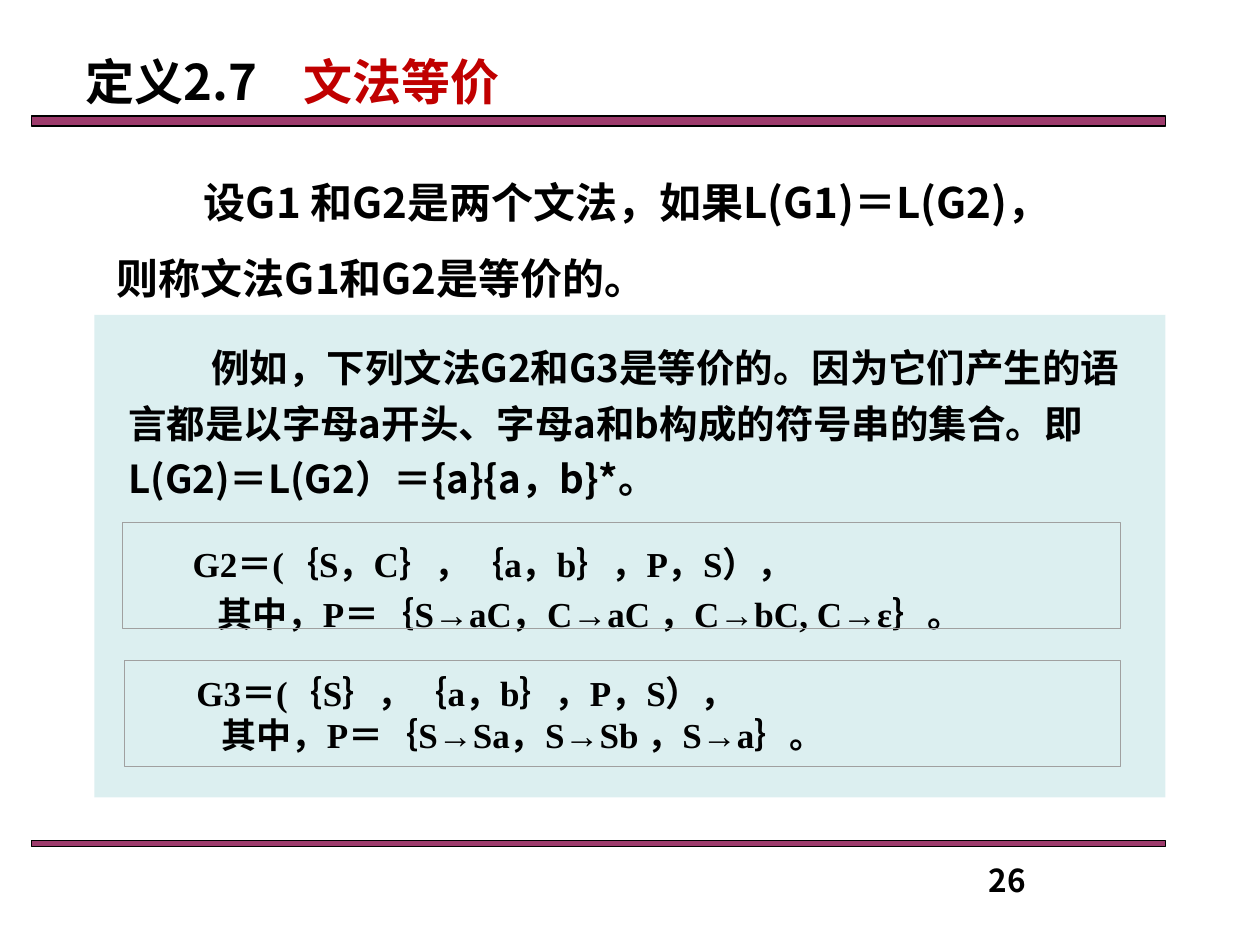
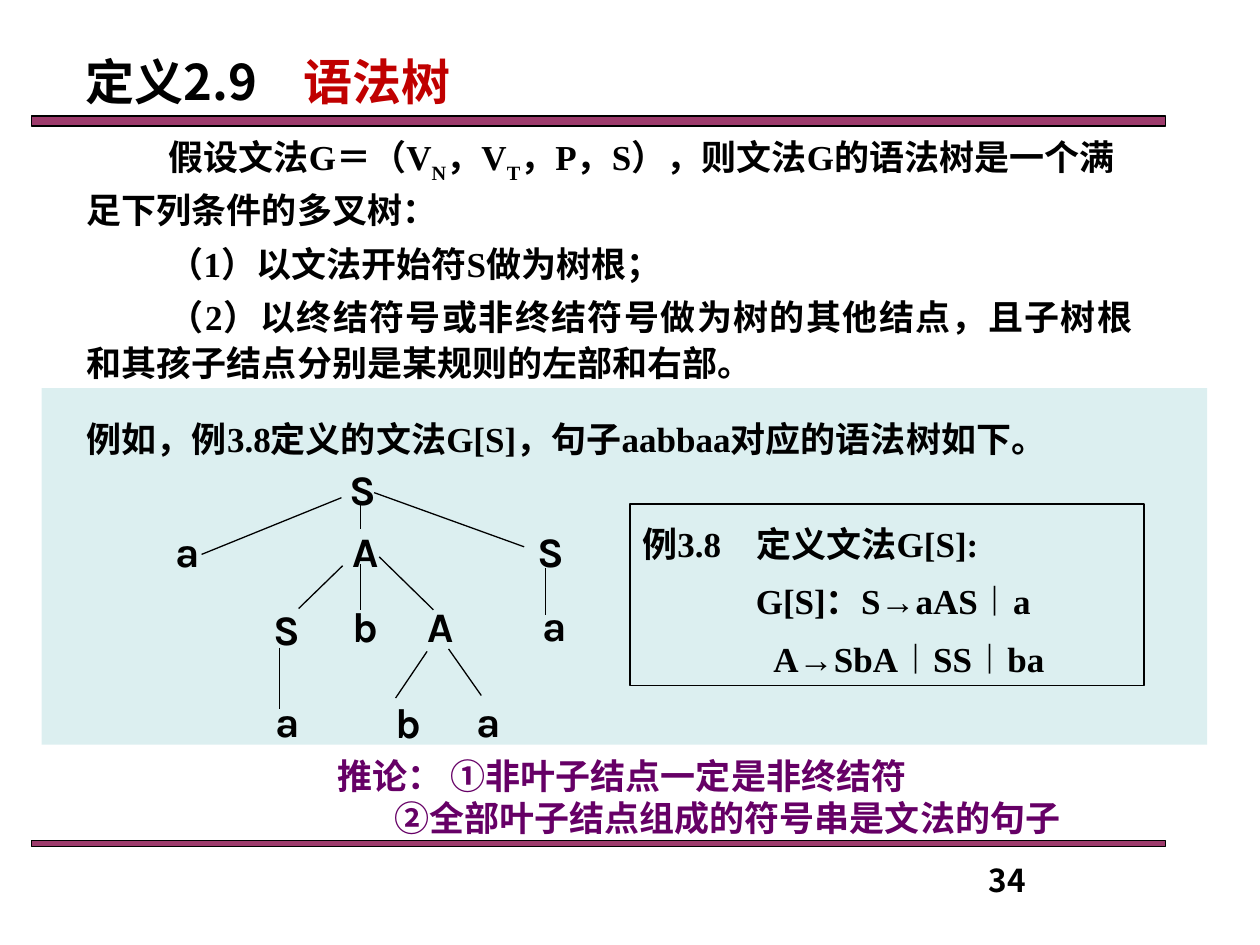
import pptx
import pptx.util
import pptx.dml.color
import pptx.enum.shapes
import pptx.enum.text
import pptx.oxml
import pptx.oxml.ns
from pptx.util import Inches

COLORS = {"text": "000000", "accent": "C00000", "band": "993366", "panel": "BBE0E3",
          "frame": "A0A0A0", "corollary": "660066"}
SANS, SERIF, TREE_FONT = "Noto Sans CJK SC", "Times New Roman", "Karla"
LINE_HEIGHT = 1.2  # line pitch of single spacing, in font sizes
BANDS = [(0.25, 0.92, 9, 0.08), (0.25, 6.67, 9, 0.05)]
NUMBER_BOX = (7.75, 6.75, 2.33, 0.42)
TITLE_TAB = 1.73

# Content: a paragraph is (text, first-line indent, justified)
EQUIVALENCE = {
    "title": ("定义2.7", "文法等价"), "title_width": 3.9, "number": "26",
    "panel": (0.75, 2.5, 8.5, 3.83),
    "definition": "设G1 和G2是两个文法，如果L(G1)＝L(G2)，则称文法G1和G2是等价的。",
    "example": "例如，下列文法G2和G3是等价的。因为它们产生的语言都是以字母a开头、字母a和b构成的"
               "符号串的集合。即L(G2)＝L(G2）＝{a}{a，b}*。",
    # frame, text left, line spacing, paragraphs
    "grammars": [
        ((0.97, 4.15, 7.92, 0.84), 1.14, 1.2,
         [("G2＝(｛S，C｝，｛a，b｝，P，S），", 0.29, True),
          ("其中，P＝｛S→aC，C→aC ，C→bC, C→ε｝。", 0.49, True)]),
        ((0.99, 5.24, 7.9, 0.84), 1.17, 1,
         [("G3＝(｛S｝，｛a，b｝，P，S），", 0.29, True),
          ("其中，P＝｛S→Sa，S→Sb ，S→a｝。", 0.49, True)]),
    ],
}
SYNTAX_TREE = {
    "title": ("定义2.9", "语法树"), "title_width": 3.58, "number": "34",
    "panel": (0.33, 3.08, 9.25, 2.83),
    # A list of runs: a leading underscore marks a subscript
    "definition": [
        (["假设文法G＝（V", "_N", "，V", "_T", "，P，S），则文法G的语法树是一个满足下列条件的多叉树："],
         0.65, False),
        ("（1）以文法开始符S做为树根；", 0.65, False),
        ("（2）以终结符号或非终结符号做为树的其他结点，且子树根和其孩子结点分别是某规则的左部和右部。",
         0.65, True),
    ],
    "example": "例如，例3.8定义的文法G[S]，句子aabbaa对应的语法树如下。",
    "grammar": [("例3.8　定义文法G[S]:", 0, False),
                ("G[S]：S→aAS︱a", 0.9, True),
                ("A→SbA︱SS︱ba", 1.04, True)],
    "corollary": [("推论： ①非叶子结点一定是非终结符", 0, False),
                  ("②全部叶子结点组成的符号串是文法的句子", 0.45, False)],
    # label, left, top
    "nodes": [("S", 2.54, 3.63),
              ("a", 1.15, 4.12), ("A", 2.56, 4.12), ("S", 4.03, 4.12),
              ("S", 1.94, 4.74), ("b", 2.56, 4.72), ("A", 3.16, 4.72), ("a", 4.06, 4.71),
              ("a", 1.94, 5.47), ("b", 2.9, 5.48), ("a", 3.54, 5.47)],
    "branches": [(2.86, 4.01, 2.86, 4.2), (2.71, 3.95, 1.6, 4.4), (2.97, 3.91, 4.16, 4.34),
                 (2.72, 4.49, 2.37, 4.83), (2.86, 4.48, 2.86, 4.84), (3.01, 4.42, 3.44, 4.84),
                 (4.33, 4.51, 4.33, 4.88), (2.22, 5.14, 2.22, 5.63),
                 (3.39, 5.17, 3.14, 5.54), (3.56, 5.15, 3.82, 5.52)],
}
NODE_SIZE = (0.68, 0.56)


def rgb(name):
    return pptx.dml.color.RGBColor.from_string(COLORS[name])


def sub_element(parent, tag, **attributes):
    element = parent.makeelement(pptx.oxml.ns.qn(tag), attributes)
    parent.append(element)
    return element


def style_paragraph(paragraph, font, size, color="text"):
    paragraph.font.size = pptx.util.Pt(size)
    paragraph.font.bold = True
    paragraph.font.color.rgb = rgb(color)
    paragraph.font.name = font
    defaults = paragraph._p.get_or_add_pPr().get_or_add_defRPr()
    sub_element(defaults, "a:ea", typeface=SANS)
    return defaults


def prepare_frame(frame):
    frame.word_wrap = True
    frame.auto_size = pptx.enum.text.MSO_AUTO_SIZE.NONE
    frame.vertical_anchor = pptx.enum.text.MSO_ANCHOR.TOP
    frame.margin_left = frame.margin_right = Inches(0.1)
    frame.margin_top, frame.margin_bottom = Inches(0.08), Inches(0.02)


def fill_text(frame, paragraphs, font, size, color="text", spacing=1, gap=0):
    prepare_frame(frame)
    for index, (content, indent, justified) in enumerate(paragraphs):
        paragraph = frame.paragraphs[0] if index == 0 else frame.add_paragraph()
        for part in [content] if isinstance(content, str) else content:
            run = paragraph.add_run()
            run.text = part.lstrip("_")
            if part.startswith("_"):
                run._r.get_or_add_rPr().set("baseline", "-30000")
        alignment = pptx.enum.text.PP_ALIGN
        paragraph.alignment = alignment.JUSTIFY if justified else alignment.LEFT
        paragraph.line_spacing = pptx.util.Pt(round(size * LINE_HEIGHT * spacing, 1))
        paragraph.space_before = pptx.util.Pt(gap if index else 0)
        paragraph._p.get_or_add_pPr().set("indent", str(Inches(indent)))
        style_paragraph(paragraph, font, size, color)


def add_text(slide, box, paragraphs, font, size, **options):
    shape = slide.shapes.add_textbox(*map(Inches, box))
    if isinstance(paragraphs, str):
        paragraphs = [(paragraphs, 0, False)]
    fill_text(shape.text_frame, paragraphs, font, size, **options)


def add_box(slide, box, fill=None, opacity=100, line=None, width=0.75):
    shape = slide.shapes.add_shape(pptx.enum.shapes.MSO_SHAPE.RECTANGLE, *map(Inches, box))
    shape.shadow.inherit = False
    if fill:
        shape.fill.solid()
        shape.fill.fore_color.rgb = rgb(fill)
        color = shape._element.spPr.find(".//" + pptx.oxml.ns.qn("a:srgbClr"))
        sub_element(color, "a:alpha", val=str(opacity * 1000))
    else:
        shape.fill.background()
    if line:
        shape.line.color.rgb = rgb(line)
        shape.line.width = pptx.util.Pt(width)
    else:
        shape.line.fill.background()
    return shape


def add_line(slide, ends):
    line = slide.shapes.add_connector(pptx.enum.shapes.MSO_CONNECTOR.STRAIGHT, *map(Inches, ends))
    line.line.color.rgb = rgb("text")
    line.line.width = pptx.util.Pt(0.75)
    sub_element(line._element.spPr, "a:effectLst")


def add_title(slide, parts, width):
    title = slide.shapes.title
    title.left, title.top, title.width, title.height = map(Inches, (0.58, 0.33, width, 0.57))
    prepare_frame(title.text_frame)
    paragraph = title.text_frame.paragraphs[0]
    paragraph.alignment = pptx.enum.text.PP_ALIGN.LEFT
    paragraph.line_spacing = pptx.util.Pt(28 * LINE_HEIGHT)
    term, name = parts
    paragraph.add_run().text = term + "\t"
    name_run = paragraph.add_run()
    name_run.text = name
    name_run.font.color.rgb = rgb("accent")
    defaults = style_paragraph(paragraph, SANS, 28)
    # Tab stop that sets the name apart from the number
    tabs = sub_element(paragraph._p.pPr, "a:tabLst")
    sub_element(tabs, "a:tab", pos=str(Inches(TITLE_TAB)), algn="l")
    defaults.addprevious(tabs)


def start_slide(presentation, content):
    slide = presentation.slides.add_slide(presentation.slide_layouts[5])
    for band in BANDS:
        add_box(slide, band, "band", 96, "text")
    add_box(slide, content["panel"], "panel", 50)
    add_title(slide, content["title"], content["title_width"])
    add_text(slide, NUMBER_BOX, content["number"], SANS, 18)
    return slide


presentation = pptx.Presentation()
presentation.slide_width, presentation.slide_height = Inches(10), Inches(7.5)

# Equivalent grammars
content = EQUIVALENCE
slide = start_slide(presentation, content)
add_text(slide, (0.83, 1.12, 7.83, 1.22), [(content["definition"], 0.69, False)], SANS, 24, spacing=1.5)
add_text(slide, (0.92, 2.58, 8.18, 1.43), [(content["example"], 0.66, False)], SANS, 22, spacing=1.2)
for frame, left, spacing, paragraphs in content["grammars"]:
    add_text(slide, (left, frame[1] + 0.01, 7.56, 0.83), paragraphs, SERIF, 20, spacing=spacing)
    add_box(slide, frame, line="frame", width=0.5)

# Syntax tree
content = SYNTAX_TREE
slide = start_slide(presentation, content)
add_text(slide, (0.59, 1.02, 8.5, 2.06), content["definition"], SERIF, 20, spacing=1.1, gap=4)
add_text(slide, (0.59, 3.23, 8.08, 0.43), content["example"], SERIF, 20)
for label, left, top in content["nodes"]:
    node = slide.shapes.add_textbox(*map(Inches, (left, top, *NODE_SIZE)))
    node.text_frame.word_wrap = True
    paragraph = node.text_frame.paragraphs[0]
    paragraph.text = label
    paragraph.alignment = pptx.enum.text.PP_ALIGN.CENTER
    style_paragraph(paragraph, TREE_FONT, 24)
for ends in content["branches"]:
    add_line(slide, ends)
grammar_box = add_box(slide, (5, 4, 4.08, 1.44), line="text")
fill_text(grammar_box.text_frame, content["grammar"], SERIF, 20, spacing=1.2, gap=4)
add_text(slide, (2.58, 5.91, 6.58, 0.77), content["corollary"], SANS, 20, color="corollary")

presentation.save("out.pptx")
